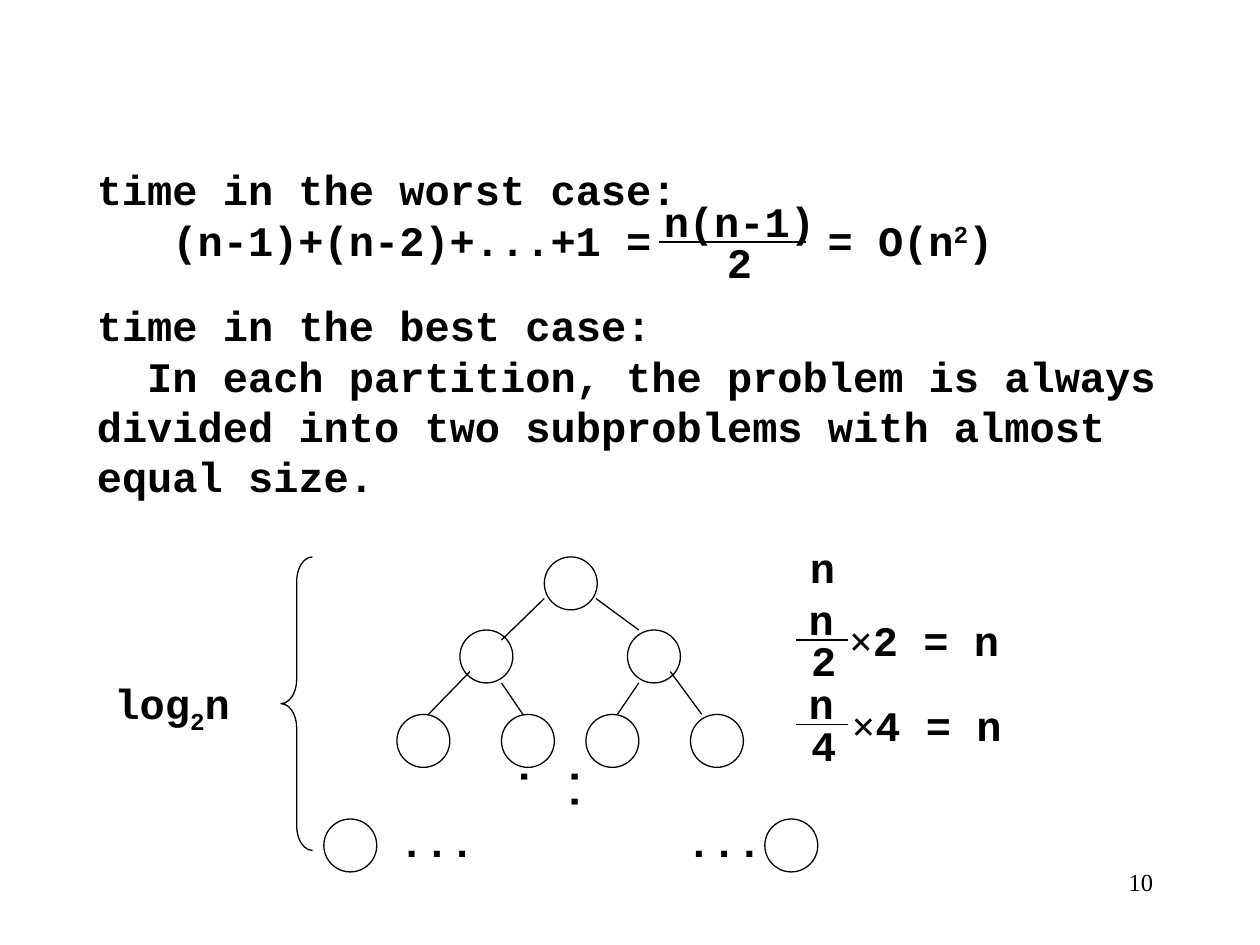
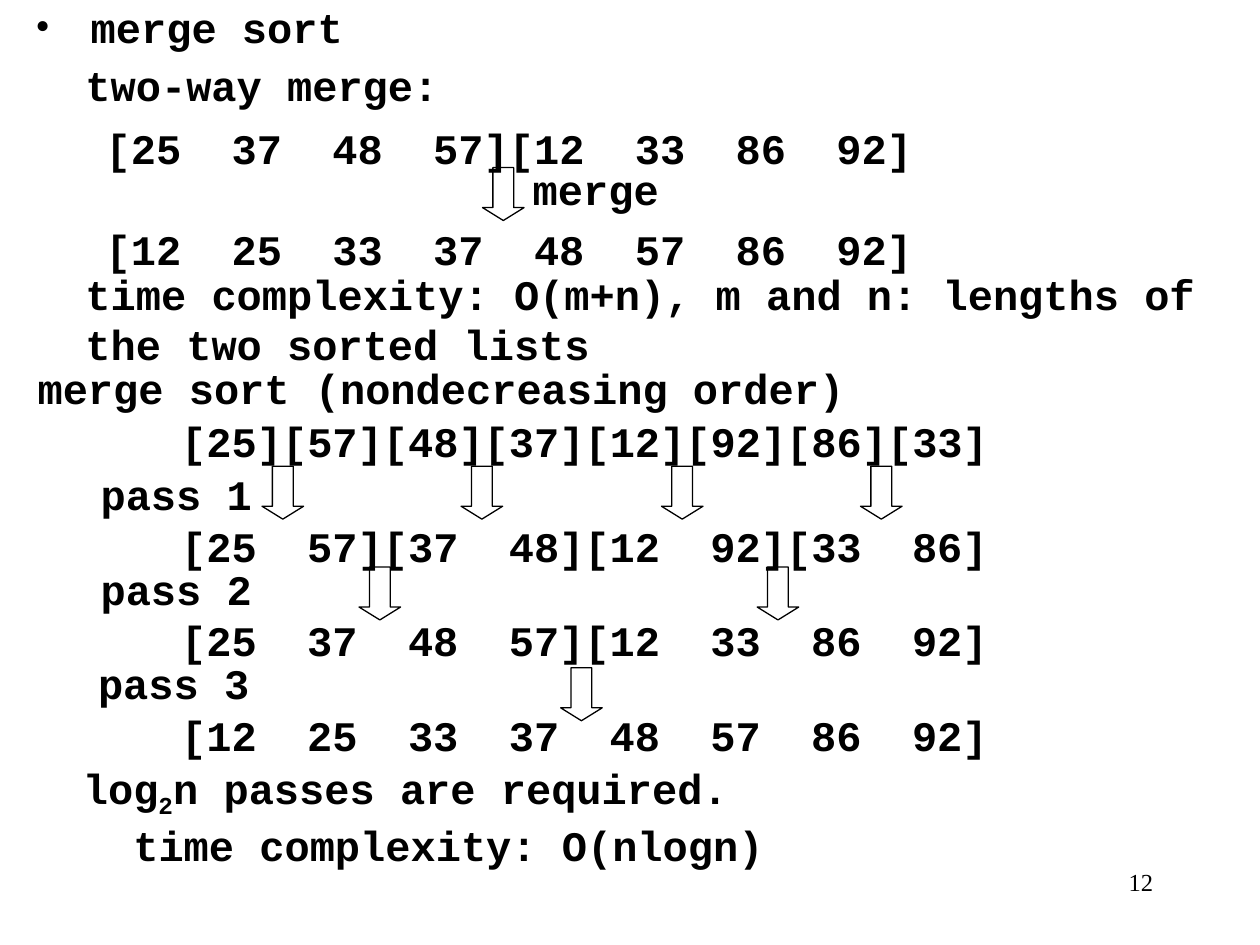
from dataclasses import dataclass, field
from typing import Any

from lxml.etree import SubElement
from pptx import Presentation
from pptx.dml.color import RGBColor
from pptx.enum.shapes import MSO_CONNECTOR, MSO_SHAPE
from pptx.enum.text import MSO_ANCHOR, MSO_AUTO_SIZE, PP_ALIGN
from pptx.oxml.ns import qn
from pptx.slide import Slide
from pptx.text.text import TextFrame
from pptx.util import Pt

EMU_PER_PX = 9144
CHAR = 20
INSET = 10
NODE = 42
COLUMN = 4 * CHAR


@dataclass(frozen=True)
class Theme:
    """Colours, fonts and sizes shared by the slides."""

    ink: RGBColor = RGBColor(0, 0, 0)
    mono: str = "Courier New"
    serif: str = "Times New Roman"
    stroke: Any = Pt(0.75)
    body: dict[str, Any] = field(default_factory=lambda: {"size": Pt(24), "bold": True})
    number: dict[str, Any] = field(default_factory=lambda: {"size": Pt(14), "bold": False})


THEME = Theme()


@dataclass(frozen=True)
class Piece:
    """A stretch of text with one font and baseline."""

    text: str
    baseline: int = 0
    font: str = THEME.mono


@dataclass(frozen=True)
class Line:
    """One paragraph: its pieces, indents, tab stops and space before."""

    pieces: tuple[Piece, ...]
    first: int = 0
    margin: int = 0
    tabs: tuple[int, ...] = ()
    before: int = 0
    bullet: str = ""


@dataclass(frozen=True)
class Fraction:
    """A numerator over a denominator, with the bar between them."""

    top: str
    top_left: int
    bottom: str
    bottom_left: int
    bar_left: int
    bar_right: int
    bar_y: int


@dataclass(frozen=True)
class MergePass:
    """One pass of merge sort: its label, arrows and resulting lists."""

    label: str
    label_left: int
    label_top: int
    arrow_lefts: tuple[int, ...]
    lists: str
    lists_top: int


def px(length: float) -> int:
    """Turn px into EMU."""
    return round(length * EMU_PER_PX)


def assign(target: Any, values: dict[str, Any]) -> None:
    """Set each named attribute on the target."""
    for name, value in values.items():
        setattr(target, name, value)


def line(text: str, **layout: Any) -> Line:
    """Make a line from plain text."""
    return Line((Piece(text),), **layout)


def write(frame: TextFrame, lines: tuple[Line, ...], style: dict[str, Any], align: Any = PP_ALIGN.LEFT) -> None:
    """Write the lines into a text frame."""
    for index, content in enumerate(lines):
        paragraph = frame.add_paragraph() if index else frame.paragraphs[0]
        paragraph.alignment = align
        paragraph.space_before = Pt(content.before)
        properties = paragraph._p.get_or_add_pPr()
        if content.first:
            properties.set("marL", str(px(content.margin)))
            properties.set("indent", str(px(content.first)))
        if content.bullet:
            SubElement(properties, qn("a:buFont")).set("typeface", THEME.serif)
            SubElement(properties, qn("a:buChar")).set("char", content.bullet)
        if content.tabs:
            stops = SubElement(properties, qn("a:tabLst"))
            for position in content.tabs:
                stop = SubElement(stops, qn("a:tab"))
                stop.set("pos", str(px(position)))
                stop.set("algn", "l")
        for piece in content.pieces:
            run = paragraph.add_run()
            run.text = piece.text
            assign(run.font, {**style, "name": piece.font})
            run.font.color.rgb = THEME.ink
            if piece.baseline:
                run._r.get_or_add_rPr().set("baseline", str(piece.baseline * 1000))


def add_text(slide: Slide, lines: tuple[Line, ...], left: int, top: int, width: int,
             height: int = 50, wrap: bool = True) -> TextFrame:
    """Add a body text box."""
    frame = slide.shapes.add_textbox(*map(px, (left, top, width, height))).text_frame
    assign(frame, {"word_wrap": wrap, "auto_size": MSO_AUTO_SIZE.SHAPE_TO_FIT_TEXT})
    write(frame, lines, THEME.body)
    return frame


def add_label(slide: Slide, text: str, left: int, top: int) -> None:
    """Add a one-line label whose width follows its length."""
    add_text(slide, (line(text),), left, top, CHAR * len(text) + 2 * INSET, wrap=False)


def add_lists(slide: Slide, rows: tuple[str, ...], left: int, top: int) -> None:
    """Add rows of sorted lists set on a column grid, a blank line apart."""
    tabs = tuple(CHAR + COLUMN * step for step in range(1, 8))
    lines = tuple(line(row, tabs=tabs, before=29 if index else 0) for index, row in enumerate(rows))
    add_text(slide, lines, left, top, 670, 130 if len(rows) > 1 else 50)


def add_outline(slide: Slide, kind: MSO_SHAPE, left: int, top: int, width: int, height: int,
                adjustments: tuple[float, ...] = ()) -> None:
    """Add an unfilled preset shape with a thin line."""
    outline = slide.shapes.add_shape(kind, *map(px, (left, top, width, height)))
    outline.shadow.inherit = False
    outline.fill.background()
    outline.line.color.rgb = THEME.ink
    outline.line.width = THEME.stroke
    for index, value in enumerate(adjustments):
        outline.adjustments[index] = value


def add_arrow(slide: Slide, left: int, top: int) -> None:
    """Add a merge arrow."""
    add_outline(slide, MSO_SHAPE.DOWN_ARROW, left, top, 33, 42, (0.5, 0.31))


def add_line(slide: Slide, *ends: int) -> None:
    """Add a thin straight line."""
    rule = slide.shapes.add_connector(MSO_CONNECTOR.STRAIGHT, *map(px, ends))
    rule.line.color.rgb = THEME.ink
    rule.line.width = THEME.stroke
    SubElement(rule._element.spPr, qn("a:effectLst"))


def add_fraction(slide: Slide, part: Fraction) -> None:
    """Add a fraction around its bar."""
    add_label(slide, part.top, part.top_left, part.bar_y - 42)
    add_label(slide, part.bottom, part.bottom_left, part.bar_y - 9)
    add_line(slide, part.bar_left, part.bar_y, part.bar_right, part.bar_y)


def add_number(slide: Slide, number: int) -> None:
    """Add the page number."""
    frame = slide.shapes.add_textbox(*map(px, (717, 683, 208, 50))).text_frame
    frame.word_wrap = True
    write(frame, (Line((Piece(str(number), font=THEME.serif),)),), THEME.number, PP_ALIGN.RIGHT)


def build_cases(slide: Slide) -> None:
    """Build the worst and best case slide."""
    worst = Line((Piece("\t(n-1)+(n-2)+...+1 =\t= O(n"), Piece("2", 30), Piece(")")), tabs=(60, 580))
    add_text(slide, (line("time in the worst case:"), worst), 67, 125, 750, 90)
    add_fraction(slide, Fraction("n(n-1)", 517, "2", 567, 523, 640, 192))
    best = line("In each partition, the problem is always divided into two subproblems "
                "with almost equal size.", first=40)
    add_text(slide, (line("time in the best case:"), best), 67, 233, 875, 170)

    levels = {442: (432,), 500: (365, 498), 567: (315, 398, 465, 548), 650: (257, 607)}
    for top, lefts in levels.items():
        for left in lefts:
            add_outline(slide, MSO_SHAPE.OVAL, left, top, NODE, NODE)
    branches = ((398, 508, 432, 475), (473, 475, 507, 500), (340, 567, 373, 533),
                (398, 542, 415, 567), (507, 542, 490, 567), (532, 533, 557, 567))
    for branch in branches:
        add_line(slide, *branch)
    for left in (307, 535):
        add_label(slide, "...", left, 642)
    deeper = add_text(slide, (line("..."),), 432, 597, 60, 70)
    assign(deeper, {"margin_left": px(5), "margin_right": px(5), "margin_top": px(10), "margin_bottom": px(10)})
    deeper._txBody.bodyPr.set("vert", "eaVert")

    add_outline(slide, MSO_SHAPE.LEFT_BRACE, 223, 442, 25, 233, (0.78, 0.5))
    depth = Line((Piece("log"), Piece("2", -25), Piece("n")))
    add_text(slide, (depth,), 81, 533, 125, 56)
    add_label(slide, "n", 633, 425)
    for row, parts in enumerate(("2", "4")):
        bar_y = 508 + 67 * row
        product = Line((Piece("×", font=THEME.serif), Piece(f"{parts} = n")))
        add_text(slide, (product,), 664 + 2 * row, bar_y - 25, 139, wrap=False)
        add_fraction(slide, Fraction("n", 632, parts, 634, 632, 673, bar_y))
    add_number(slide, 10)


def build_merge_sort(slide: Slide) -> None:
    """Build the merge sort slide."""
    heading = slide.shapes.title
    assign(heading, {"left": 0, "top": 0, "width": px(300), "height": px(42)})
    assign(heading.text_frame, {"vertical_anchor": MSO_ANCHOR.MIDDLE, "auto_size": MSO_AUTO_SIZE.NONE})
    write(heading.text_frame, (line("merge sort", margin=62, first=-44, bullet="•"),), THEME.body)

    add_label(slide, "two-way merge:", 58, 42)
    add_lists(slide, ("[25\t37\t48\t57][12\t33\t86\t92]", "[12\t25\t33\t37\t48\t57\t86\t92]"), 74, 92)
    add_arrow(slide, 383, 133)
    add_label(slide, "merge", 413, 125)
    add_text(slide, (line("time complexity: O(m+n), m and n: lengths of"), line("the two sorted lists")),
             58, 208, 935, 90)

    add_label(slide, "merge sort (nondecreasing order)", 20, 283)
    add_lists(slide, ("[25][57][48][37][12][92][86][33]",), 134, 325)
    passes = (
        MergePass("pass 1", 70, 367, (208, 366, 525, 683), "[25\t57][37\t48][12\t92][33\t86]", 408),
        MergePass("pass 2", 70, 442, (285, 601), "[25\t37\t48\t57][12\t33\t86\t92]", 483),
        MergePass("pass 3", 68, 517, (445,), "[12\t25\t33\t37\t48\t57\t86\t92]", 558),
    )
    for index, step in enumerate(passes):
        add_label(slide, step.label, step.label_left, step.label_top)
        add_lists(slide, (step.lists,), 134, step.lists_top)
        for left in step.arrow_lefts:
            add_arrow(slide, left, 370 + 80 * index)
    count = Line((Piece("log"), Piece("2", -25), Piece("n passes are required.")))
    add_text(slide, (count, line("time complexity: O(nlogn)", first=40)), 56, 600, 580, 96)
    add_number(slide, 12)


def main() -> None:
    """Build and save the deck."""
    deck = Presentation()
    deck.slide_width, deck.slide_height = px(1000), px(750)
    build_cases(deck.slides.add_slide(deck.slide_layouts[6]))
    build_merge_sort(deck.slides.add_slide(deck.slide_layouts[5]))
    deck.save("out.pptx")


if __name__ == "__main__":
    main()
